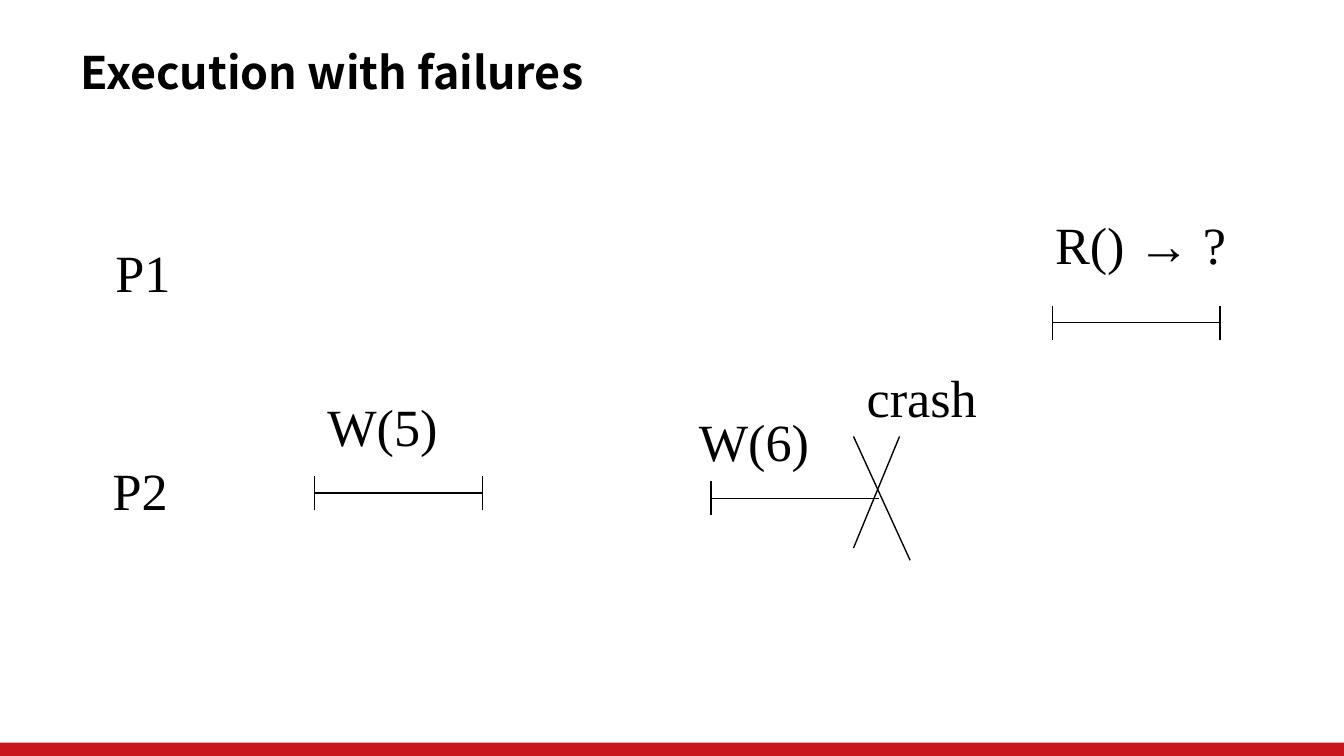
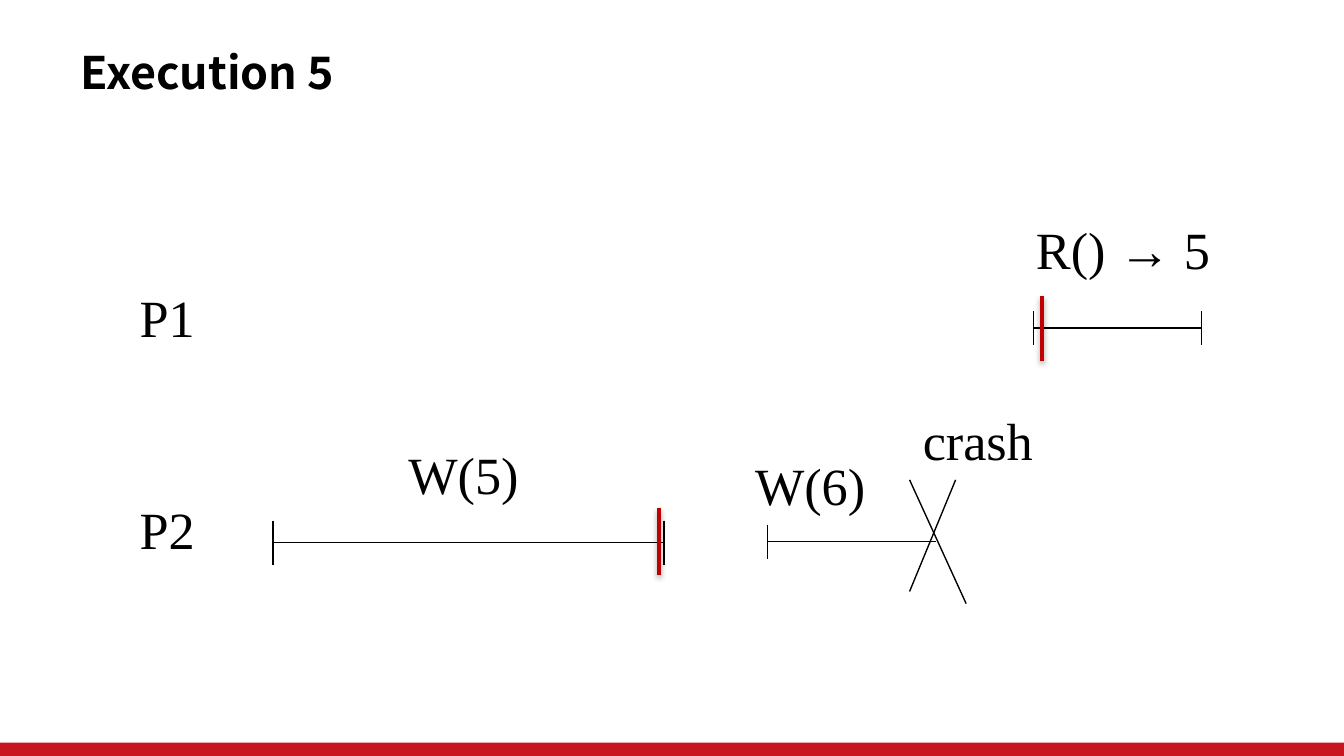
from lxml import etree
from pptx import Presentation
from pptx.dml.color import RGBColor
from pptx.enum.shapes import MSO_CONNECTOR, MSO_SHAPE
from pptx.enum.text import MSO_ANCHOR, MSO_AUTO_SIZE, PP_ALIGN
from pptx.oxml.ns import qn
from pptx.util import Cm, Pt

STRAIGHT = MSO_CONNECTOR.STRAIGHT
RECT = MSO_SHAPE.RECTANGLE
MIDDLE = MSO_ANCHOR.MIDDLE
GROW = MSO_AUTO_SIZE.SHAPE_TO_FIT_TEXT
LEFT = PP_ALIGN.LEFT

COLORS = {"ink": "000000", "band": "C9151E", "mark": "C00000"}
TITLE_FONT = {"name": "Noto Sans CJK SC", "size": Pt(24), "bold": True}
LABEL_FONT = {"name": "Times New Roman", "size": Pt(28)}
LABEL_H = 1.45
OP_LABEL_W = 2.59

# Content, in cm. Labels: text, left, top. Operations: text, start, end, y,
# cap height, then label offset from the start, label size and wrapping.
# Crashes: text, start, y. Marks: x, top, bottom.
SLIDES = [
    {
        "title": "Execution with failures",
        "processes": [("P2", 1.88, 8.53), ("P1", 1.93, 4.42)],
        "operations": [
            ("W(5)", 5.94, 9.12, 9.32, 0.64, (0, -2.0), (OP_LABEL_W, LABEL_H), False),
            ("R() → ?", 19.89, 23.06, 6.1, 0.64, (-0.2, -2.21), (4.45, 2.62), True),
        ],
        "crashes": [("W(6)", 13.44, 9.42)],
        "marks": [],
    },
    {
        "title": "Execution 5",
        "processes": [("P2", 2.39, 9.27), ("P1", 2.39, 5.26)],
        "operations": [
            ("R() → 5", 19.53, 22.71, 6.2, 0.64, (-0.2, -2.21), (3.81, LABEL_H), False),
            ("W(5)", 5.16, 12.55, 10.26, 0.84, (2.31, -2.03), (OP_LABEL_W, LABEL_H), False),
        ],
        "crashes": [("W(6)", 14.5, 10.24)],
        "marks": [(12.45, 9.6, 10.87), (19.69, 5.59, 6.83)],
    },
]

# Parts of a crashed operation, relative to its start
CRASH_LENGTH, CRASH_CAP = 3.18, 0.64
CRASH_LABELS = {"operation": (-0.48, -1.8), "crash": (2.69, -2.64)}
CRASH_STROKES = [(3.56, -1.17, 2.69, 0.94), (2.69, -1.17, 3.76, 1.17)]


def rgb(name):
    return RGBColor.from_string(COLORS[name])


def write(tf, text, font):
    p = tf.paragraphs[0]
    p.alignment = LEFT
    r = p.add_run()
    r.text = text
    for key, value in font.items():
        setattr(r.font, key, value)
    r.font.color.rgb = rgb("ink")


def add_label(shapes, text, x, y, w=OP_LABEL_W, h=LABEL_H, wrap=False):
    tf = shapes.add_textbox(Cm(x), Cm(y), Cm(w), Cm(h)).text_frame
    tf.word_wrap = wrap
    tf.auto_size = GROW
    write(tf, text, LABEL_FONT)


def add_line(shapes, x1, y1, x2, y2, color="ink", width=0.75, shadow=False):
    line = shapes.add_connector(STRAIGHT, Cm(x1), Cm(y1), Cm(x2), Cm(y2))
    line.line.color.rgb = rgb(color)
    line.line.width = Pt(width)
    effects = etree.SubElement(line._element.spPr, qn("a:effectLst"))
    if shadow:
        outer = etree.SubElement(effects, qn("a:outerShdw"), blurRad=str(Pt(3.1)),
                                 dist=str(Pt(1.6)), dir="5400000", rotWithShape="0")
        clr = etree.SubElement(outer, qn("a:srgbClr"), val=COLORS["ink"])
        etree.SubElement(clr, qn("a:alpha"), val="38000")


def add_interval(shapes, start, end, y, cap, cap_ends):
    add_line(shapes, start, y, end, y)
    for x in cap_ends:
        add_line(shapes, x, y - cap / 2, x, y + cap / 2)


def add_operation(s, text, start, end, y, cap, offset, size, wrap):
    group = s.shapes.add_group_shape()
    add_interval(group.shapes, start, end, y, cap, (start, end))
    add_label(s.shapes, text, start + offset[0], y + offset[1], *size, wrap)


def add_crash(s, text, x, y):
    shapes = s.shapes.add_group_shape().shapes
    add_interval(shapes, x, x + CRASH_LENGTH, y, CRASH_CAP, (x,))
    for kind, (dx, dy) in CRASH_LABELS.items():
        add_label(shapes, text if kind == "operation" else kind, x + dx, y + dy)
    for x1, y1, x2, y2 in CRASH_STROKES:
        add_line(shapes, x + x1, y + y1, x + x2, y + y2)


def add_band(s, layout):
    """Draw the footer band and move it to the shared layout."""
    band = s.shapes.add_shape(RECT, 0, Cm(14.04), Cm(25.4), Cm(0.25))
    band.shadow.inherit = False
    band.fill.solid()
    band.fill.fore_color.rgb = rgb("band")
    band.line.fill.background()
    layout.shapes.element.insert(2, band._element)


def add_title(s, text):
    title = s.shapes.title
    title.left, title.top, title.width, title.height = map(Cm, (1.27, 0.74, 17.68, 1.24))
    tf = title.text_frame
    tf.word_wrap = True
    tf.vertical_anchor = MIDDLE
    write(tf, text, TITLE_FONT)


def main():
    prs = Presentation()
    prs.slide_width, prs.slide_height = Cm(25.4), Cm(14.29)
    layout = prs.slide_layouts[5]
    for number, content in enumerate(SLIDES):
        s = prs.slides.add_slide(layout)
        if number == 0:
            add_band(s, layout)
        add_title(s, content["title"])
        for text, x, y in content["processes"]:
            add_label(s.shapes, text, x, y, w=1.55)
        for operation in content["operations"]:
            add_operation(s, *operation)
        for crash in content["crashes"]:
            add_crash(s, *crash)
        for x, top, bottom in content["marks"]:
            add_line(s.shapes, x, top, x, bottom, "mark", 2, shadow=True)
    prs.save("out.pptx")


if __name__ == "__main__":
    main()
